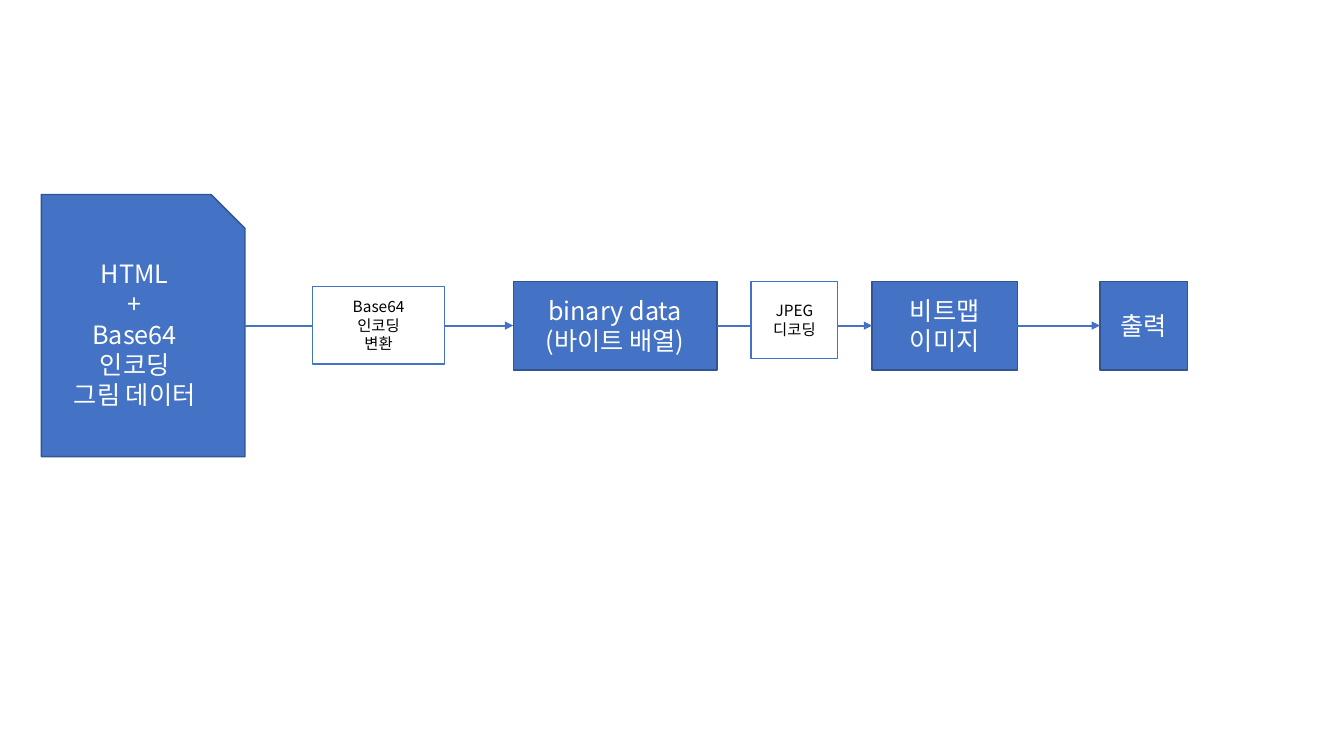
from lxml import etree
from pptx import Presentation
from pptx.dml.color import RGBColor
from pptx.enum.shapes import MSO_CONNECTOR, MSO_SHAPE
from pptx.enum.text import MSO_ANCHOR, PP_ALIGN
from pptx.oxml.ns import qn
from pptx.util import Inches, Pt

RECTANGLE = MSO_SHAPE.RECTANGLE
SNIPPED = MSO_SHAPE.SNIP_1_RECTANGLE
STRAIGHT = MSO_CONNECTOR.STRAIGHT
MIDDLE = MSO_ANCHOR.MIDDLE
CENTER = PP_ALIGN.CENTER

FONT = "Noto Sans CJK KR"
COLORS = {"blue": "4472C4", "navy": "325491", "white": "FFFFFF", "black": "000000"}
FLOW_Y = 3.23
LEFT_SITE, RIGHT_SITE = 1, 3


def color(name):
    return RGBColor.from_string(COLORS[name])


def add_box(slide, position, lines, fill, border, ink, size, preset=RECTANGLE):
    box = slide.shapes.add_shape(preset, *map(Inches, position))
    box.shadow.inherit = False
    box.fill.solid()
    box.fill.fore_color.rgb = color(fill)
    box.line.color.rgb = color(border)
    box.line.width = Pt(1)
    frame = box.text_frame
    frame.word_wrap = True
    frame.vertical_anchor = MIDDLE
    frame.text = "\n".join(lines)
    for paragraph in frame.paragraphs:
        paragraph.alignment = CENTER
        font = paragraph.font
        font.name = FONT
        font.size = Pt(size)
        font.color.rgb = color(ink)
        properties = paragraph._p.pPr.find(qn("a:defRPr"))
        etree.SubElement(properties, qn("a:ea")).set("typeface", FONT)
    return box


def add_stage(slide, left, width, height, lines, preset=RECTANGLE):
    position = (left, FLOW_Y - height / 2, width, height)
    return add_box(slide, position, lines, "blue", "navy", "white", 18, preset)


def add_step(slide, left, top, width, lines):
    position = (left, top, width, 0.77)
    return add_box(slide, position, lines, "white", "blue", "black", 11)


def add_arrow(slide, source, target):
    arrow = slide.shapes.add_connector(STRAIGHT, 0, 0, 0, 0)
    arrow.begin_connect(source, RIGHT_SITE)
    arrow.end_connect(target, LEFT_SITE)
    arrow.line.color.rgb = color("blue")
    arrow.line.width = Pt(1.5)
    etree.SubElement(arrow.line._get_or_add_ln(), qn("a:tailEnd")).set("type", "triangle")
    etree.SubElement(arrow._element.spPr, qn("a:effectLst"))


def main():
    presentation = Presentation()
    presentation.slide_width = Inches(13.33)
    presentation.slide_height = Inches(7.5)
    slide = presentation.slides.add_slide(presentation.slide_layouts[6])

    html_lines = ["HTML", "+", "Base64", "인코딩", "그림 데이터"]
    stages = [
        add_stage(slide, 0.41, 2.02, 2.6, html_lines, SNIPPED),
        add_stage(slide, 5.09, 2.02, 0.88, ["binary data", "(바이트 배열)"]),
        add_stage(slide, 8.65, 1.44, 0.88, ["비트맵", "이미지"]),
        add_stage(slide, 10.91, 0.87, 0.88, ["출력"]),
    ]
    for source, target in zip(stages, stages[1:]):
        add_arrow(slide, source, target)

    add_step(slide, 3.1, 2.84, 1.31, ["Base64", "인코딩", "변환"])
    add_step(slide, 7.45, 2.79, 0.86, ["JPEG", "디코딩"])

    presentation.save("out.pptx")


main()
